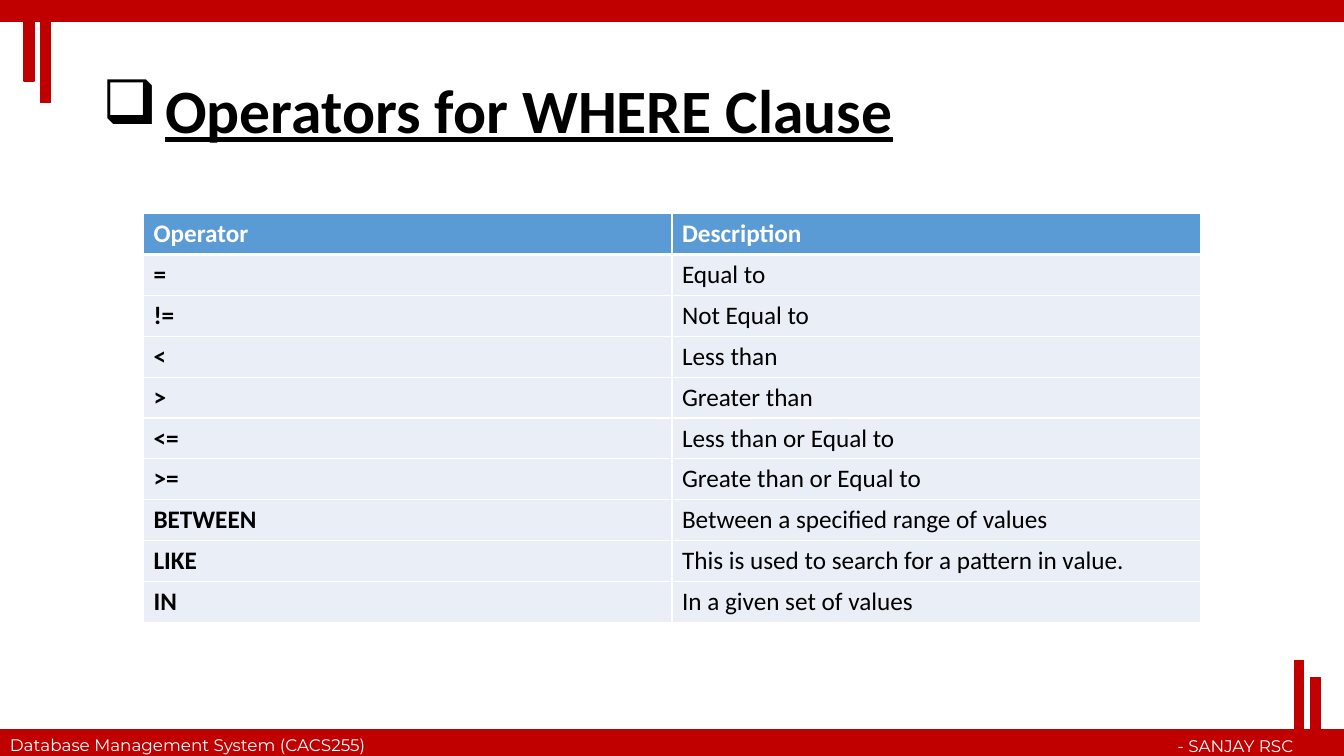
from dataclasses import dataclass

from lxml.etree import SubElement
from pptx import Presentation
from pptx.dml.color import RGBColor as RGB
from pptx.enum.shapes import MSO_SHAPE as SHAPE
from pptx.enum.text import MSO_ANCHOR as ANCHOR, PP_ALIGN as ALIGN
from pptx.oxml.ns import qn
from pptx.util import Pt


@dataclass(frozen=True)
class Theme:
    """Colours, fonts and type sizes of the slide."""
    red: str = "C00000"
    blue: str = "5B9BD5"
    pale: str = "EAEFF7"
    white: str = "FFFFFF"
    black: str = "000000"
    body_font: str = "Calibri"
    footer_font: str = "Montserrat"
    title_size: int = 44
    table_size: int = 18
    footer_size: int = 12


T = Theme()
WIDTH, HEIGHT = 960, 540
OPERATORS = [
    ("Operator", "Description"),
    ("=", "Equal to"),
    ("!=", "Not Equal to"),
    ("<", "Less than"),
    (">", "Greater than"),
    ("<=", "Less than or Equal to"),
    (">=", "Greate than or Equal to"),
    ("BETWEEN", "Between a specified range of values"),
    ("LIKE", "This is used to search for a pattern in value."),
    ("IN", "In a given set of values"),
]


def write(tf, text, *, size, font=T.body_font, color=T.black, bold=False,
          underline=False, align=ALIGN.LEFT):
    """Write one formatted run into a text frame and return its paragraph."""
    p = tf.paragraphs[0]
    p.alignment = align
    r = p.add_run()
    r.text = text
    r.font.size, r.font.name = Pt(size), font
    r.font.bold, r.font.underline = bold, underline
    r.font.color.rgb = RGB.from_string(color)
    return p


def text_box(s, box, text, *, anchor=ANCHOR.TOP, **fmt):
    """Add a wrapping text box and return its paragraph."""
    tf = s.shapes.add_textbox(*map(Pt, box)).text_frame
    tf.word_wrap = True
    tf.vertical_anchor = anchor
    return write(tf, text, **fmt)


def red_bar(s, x, y, w, h):
    """Add a plain red rectangle."""
    sp = s.shapes.add_shape(SHAPE.RECTANGLE, Pt(x), Pt(y), Pt(w), Pt(h))
    sp.shadow.inherit = False
    sp.fill.solid()
    sp.fill.fore_color.rgb = sp.line.color.rgb = RGB.from_string(T.red)
    sp.line.width = Pt(1)


def header(s, x, y, w, h):
    """Draw the top band with two bars hanging at its left."""
    red_bar(s, x, y, w, h)
    red_bar(s, x + 28.8, y + 0.7, 7.2, 72.7)
    red_bar(s, x + 17.2, y + 2, 7.2, 56)


def footer(s, x, y, w, h):
    """Draw the bottom band, its two captions and the bars at its right."""
    red_bar(s, x, y, w, h)
    fmt = dict(size=T.footer_size, font=T.footer_font, color=T.white)
    text_box(s, (x, y, 299.5, 21.6), "Database Management System (CACS255)", **fmt)
    text_box(s, (x + w - 261.6, y + 0.7, 232.6, 21.6), "- SANJAY RSC",
             align=ALIGN.RIGHT, **fmt)
    bottom = y + h
    red_bar(s, x + w - 35.4, bottom - 68.2, 6.5, 67.7)
    red_bar(s, x + w - 23.8, bottom - 56, 7.2, 56)


def title(s, box, text):
    """Write the underlined title with its hanging box bullet."""
    p = text_box(s, box, text, anchor=ANCHOR.MIDDLE, size=T.title_size,
                 bold=True, underline=True)
    p.line_spacing = 0.9
    pPr = p._p.get_or_add_pPr()
    indent = Pt(45)
    pPr.set("marL", str(indent))
    pPr.set("indent", str(-indent))
    SubElement(pPr, qn("a:buFont"), typeface="Wingdings", charset="2")
    SubElement(pPr, qn("a:buChar"), char="q")


def cell_borders(cell, **widths):
    """Give a cell white borders; sides are L, R, T and B, in points."""
    tcPr = cell._tc.get_or_add_tcPr()
    for side, width in widths.items():
        ln = SubElement(tcPr, qn(f"a:ln{side}"), w=str(Pt(width)))
        SubElement(SubElement(ln, qn("a:solidFill")), qn("a:srgbClr"), val=T.white)


def operator_table(s, x, y, w, h, rows):
    """Fill the box with a table whose first row is a heading."""
    n_cols = len(rows[0])
    table = s.shapes.add_table(len(rows), n_cols, Pt(x), Pt(y), Pt(w), Pt(h)).table
    for col in table.columns:
        col.width = Pt(w / n_cols)
    for i, row in enumerate(rows):
        table.rows[i].height = Pt(h / len(rows))
        heading = i == 0
        for j, text in enumerate(row):
            cell = table.cell(i, j)
            cell_borders(cell, L=1, R=1, T=3 if i == 1 else 1, B=3 if heading else 1)
            cell.fill.solid()
            cell.fill.fore_color.rgb = RGB.from_string(T.blue if heading else T.pale)
            write(cell.text_frame, text, size=T.table_size,
                  color=T.white if heading else T.black, bold=heading or j == 0)


def main():
    """Build the slide and save it."""
    prs = Presentation()
    prs.slide_width, prs.slide_height = Pt(WIDTH), Pt(HEIGHT)
    s = prs.slides.add_slide(prs.slide_layouts[6])
    footer(s, 0, 521.3, WIDTH, 18.7)
    header(s, 0, 0, WIDTH, 15)
    title(s, (66, 28.8, 828, 104.4), "Operators for WHERE Clause")
    operator_table(s, 102.5, 152.6, 755, 292, OPERATORS)
    prs.save("out.pptx")


main()
